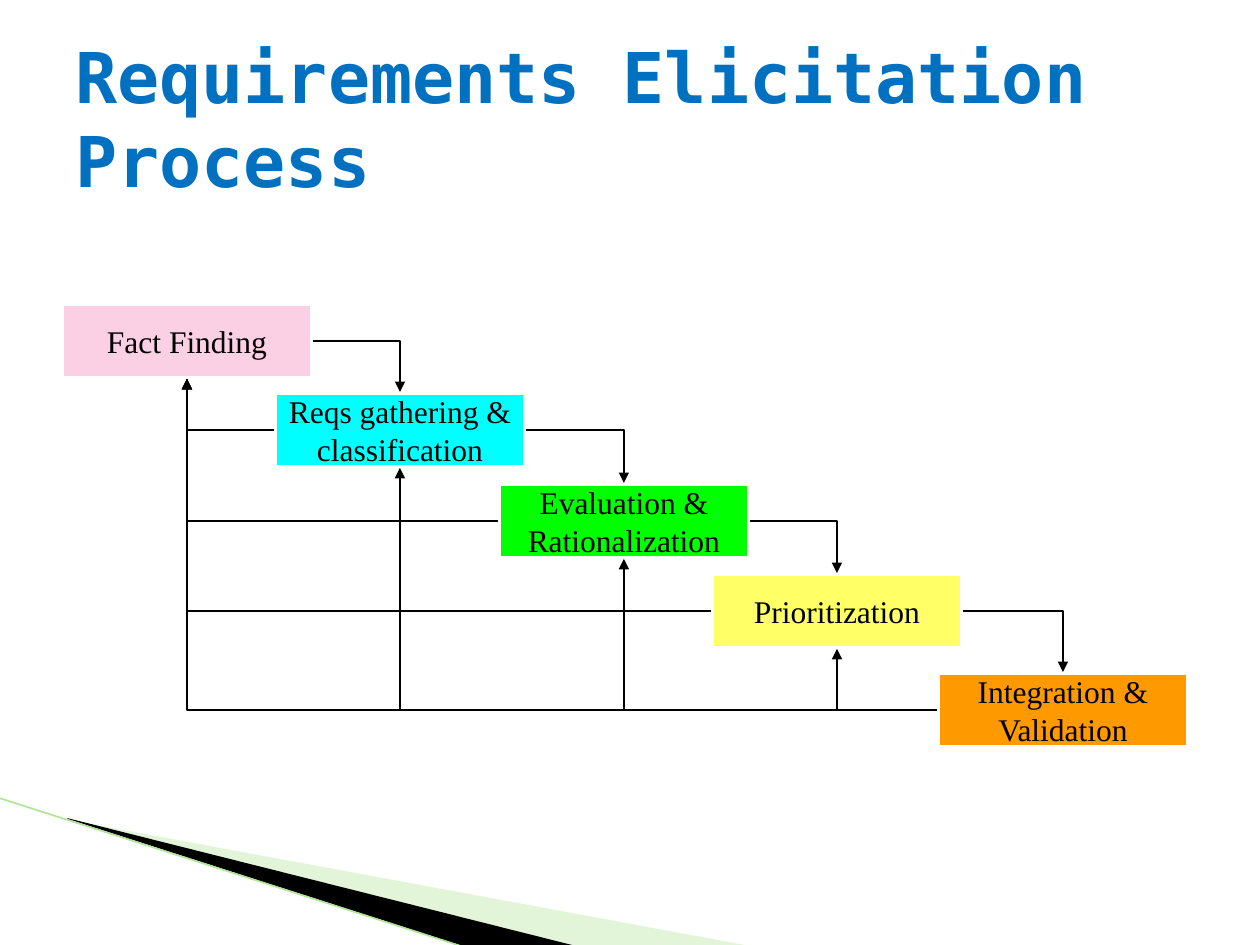
from lxml import etree
from pptx import Presentation
from pptx import util as u
from pptx.dml.color import RGBColor
from pptx.enum import shapes, text
from pptx.oxml import ns

BLACK = RGBColor(0x00, 0x00, 0x00)
WHITE = RGBColor(0xFF, 0xFF, 0xFF)
BLUE = RGBColor(0x00, 0x70, 0xC0)
PALE_GREEN = RGBColor(0xB8, 0xE7, 0xA1)
EDGE_GREEN = RGBColor(0xB1, 0xE3, 0x99)
PINK = RGBColor(0xFB, 0xD0, 0xE4)
CYAN = RGBColor(0x00, 0xFF, 0xFF)
GREEN = RGBColor(0x00, 0xFF, 0x00)
YELLOW = RGBColor(0xFF, 0xFF, 0x66)
ORANGE = RGBColor(0xFF, 0x99, 0x00)

BOX_WIDTH, BOX_HEIGHT, GAP = 248, 72, 2
STEPS = [
    (63, 305, PINK, ["Fact Finding"]),
    (276, 394, CYAN, ["Reqs gathering &", "classification"]),
    (500, 485, GREEN, ["Evaluation &", "Rationalization"]),
    (713, 575, YELLOW, ["Prioritization"]),
    (939, 674, ORANGE, ["Integration &\vValidation"]),
]
FEEDBACK = [(4, 3), (1, 0), (4, 0), (3, 0), (2, 0), (4, 2), (4, 1)]


def px(length):
    return u.Emu(round(length * 914400 / 126))


class ProcessSlide:
    title_font = "DejaVu Sans Mono"
    box_font = "Times New Roman"

    def __init__(self, presentation):
        self.slide = presentation.slides.add_slide(presentation.slide_layouts[6])

    def wedge(self, points, color, opacity=100):
        start, *rest = [(px(x), px(y)) for x, y in points]
        builder = self.slide.shapes.build_freeform(*start)
        builder.add_line_segments(rest)
        shape = builder.convert_to_shape()
        shape.shadow.inherit = False
        shape.fill.solid()
        shape.fill.fore_color.rgb = color
        shape.line.fill.background()
        if opacity < 100:
            fill_color = shape.element.spPr.find(".//" + ns.qn("a:srgbClr"))
            etree.SubElement(fill_color, ns.qn("a:alpha"), val=str(opacity * 1000))

    def line(self, start, end, color, width, bent=False, arrow=False):
        kind = shapes.MSO_CONNECTOR.ELBOW if bent else shapes.MSO_CONNECTOR.STRAIGHT
        connector = self.slide.shapes.add_connector(kind, *map(px, start + end))
        connector.line.color.rgb = color
        connector.line.width = u.Pt(width)
        properties = connector.element.spPr
        if bent:
            properties.find(ns.qn("a:prstGeom")).set("prst", "bentConnector2")
        if arrow:
            outline = properties.find(ns.qn("a:ln"))
            etree.SubElement(outline, ns.qn("a:tailEnd"), type="triangle")
        etree.SubElement(properties, ns.qn("a:effectLst"))

    def run(self, paragraph, words, font, size, color, bold=False):
        run = paragraph.add_run()
        run.text = words
        run.font.name = font
        run.font.size = u.Pt(size)
        run.font.bold = bold
        run.font.color.rgb = color

    def title(self, words, left, top, width, height):
        shape = self.slide.shapes.add_textbox(*map(px, (left, top, width, height)))
        frame = shape.text_frame
        frame.word_wrap = True
        frame.vertical_anchor = text.MSO_ANCHOR.MIDDLE
        self.run(frame.paragraphs[0], words, self.title_font, 40, BLUE, bold=True)

    def box(self, left, top, color, lines):
        shape = self.slide.shapes.add_shape(
            shapes.MSO_SHAPE.FLOWCHART_PROCESS,
            *map(px, (left, top, BOX_WIDTH, BOX_HEIGHT)))
        shape.shadow.inherit = False
        shape.fill.solid()
        shape.fill.fore_color.rgb = color
        shape.line.color.rgb = WHITE
        shape.line.width = u.Pt(1.5)
        frame = shape.text_frame
        frame.word_wrap = False
        frame.vertical_anchor = text.MSO_ANCHOR.MIDDLE
        for index, words in enumerate(lines):
            paragraph = frame.add_paragraph() if index else frame.paragraphs[0]
            paragraph.alignment = text.PP_ALIGN.CENTER
            for part_index, part in enumerate(words.split("\v")):
                if part_index:
                    paragraph.add_line_break()
                self.run(paragraph, part, self.box_font, 18, BLACK)

    def forward(self, source, target):
        start = (source[0] + BOX_WIDTH + GAP, source[1] + BOX_HEIGHT // 2)
        end = (target[0] + BOX_WIDTH // 2, target[1] - GAP)
        self.line(start, end, BLACK, 1.5, bent=True, arrow=True)

    def feedback(self, source, target, width=0.75, arrow=True):
        start = (source[0] - GAP, source[1] + BOX_HEIGHT // 2)
        end = (target[0] + BOX_WIDTH // 2, target[1] + BOX_HEIGHT + GAP)
        self.line(start, end, BLACK, width, bent=True, arrow=arrow)


def main():
    presentation = Presentation()
    presentation.slide_width = u.Inches(10)
    presentation.slide_height = u.Inches(7.5)
    page = ProcessSlide(presentation)
    page.wedge([(69, 820), (750, 946), (575, 946), (69, 819)], PALE_GREEN, 40)
    page.wedge([(67, 818), (576, 946), (469, 948), (68, 819)], BLACK)
    page.line((-1, 798), (467, 948), EDGE_GREEN, 0.95)
    page.title("Requirements Elicitation Process", 63, 38, 1134, 158)
    for step in STEPS:
        page.box(*step)
    for source, target in zip(STEPS, STEPS[1:]):
        page.forward(source, target)
    for source, target in FEEDBACK:
        page.feedback(STEPS[source], STEPS[target])
    page.feedback(STEPS[1], STEPS[0], width=1, arrow=False)
    presentation.save("out.pptx")


if __name__ == "__main__":
    main()
